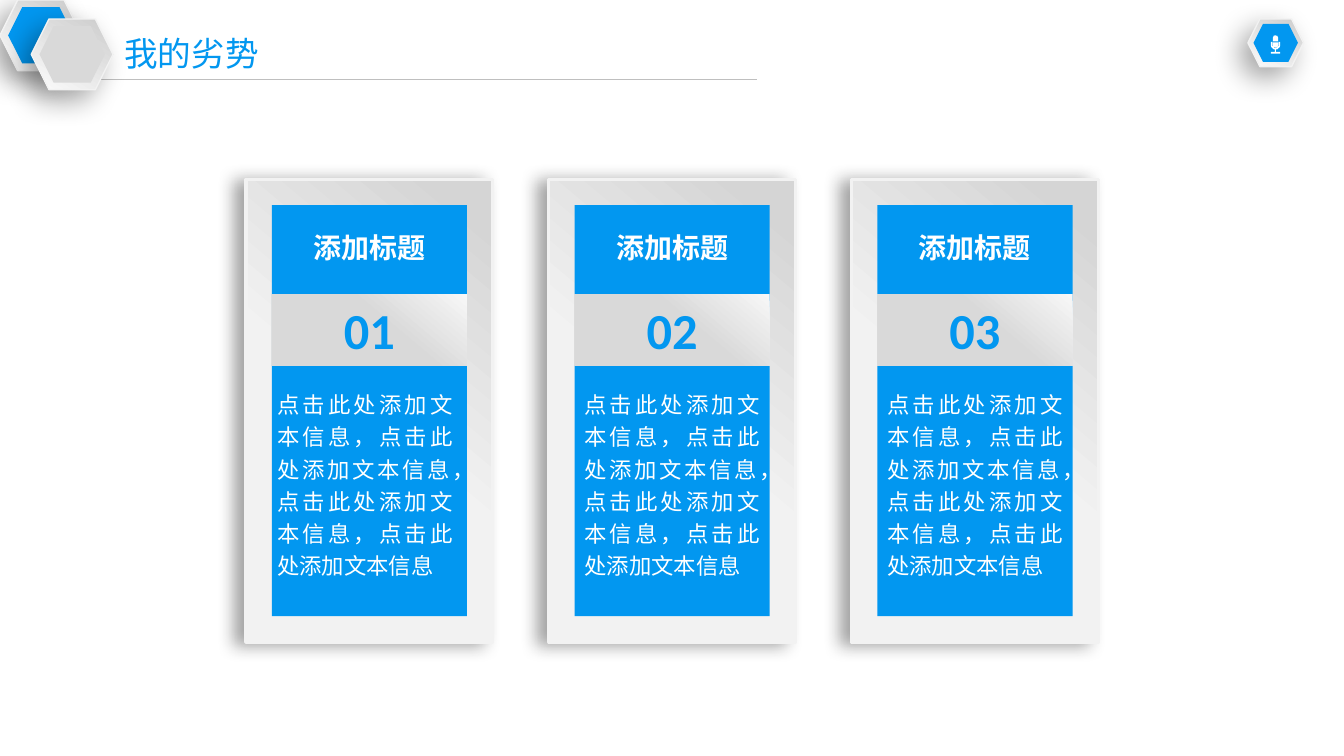
from dataclasses import dataclass
from math import cos, pi, sin

from lxml.etree import SubElement
from pptx import Presentation
from pptx.dml.color import RGBColor
from pptx.enum.shapes import MSO_CONNECTOR, MSO_SHAPE
from pptx.enum.text import MSO_ANCHOR, PP_ALIGN
from pptx.oxml.ns import qn
from pptx.util import Cm, Pt


@dataclass(frozen=True)
class Theme:
    blue: str = "0297F0"
    white: str = "FFFFFF"
    gray: str = "D9D9D9"
    rule: str = "BFBFBF"
    edge: str = "F2F2F2"
    hexes: tuple = ((0, "CCCCCC"), (100, "FCFCFC"))
    frame: tuple = ((7, "D5D5D5"), (53, "F2F2F2"))
    band: tuple = ((0, "F7F7F7"), (42, "D9D9D9"))
    soft: tuple = ("000000", 34, 20, 10, 136)
    deep: tuple = ("1A1A1A", 40, 12, 8, 170)
    han: str = "Noto Sans CJK SC"
    latin: str = "Calibri"
    title: int = 24
    head: int = 20
    number: int = 36
    body: int = 16


theme = Theme()


def color(code):
    return RGBColor.from_string(code)


def paint(shape, fill, angle=0, edge=0, shadow=None):
    shape.shadow.inherit = False
    if isinstance(fill, str):
        shape.fill.solid()
        shape.fill.fore_color.rgb = color(fill)
    else:
        shape.fill.gradient()
        shape.fill.gradient_angle = 360 - angle
        for stop, (place, code) in zip(shape.fill.gradient_stops, fill):
            stop.position = place / 100
            stop.color.rgb = color(code)
    if edge:
        shape.line.color.rgb = color(theme.edge)
        shape.line.width = Pt(edge)
    else:
        shape.line.fill.background()
    if shadow:
        cast(shape, *shadow)


def cast(shape, code, alpha, blur, dist, turn):
    effects = shape._element.spPr.find(qn("a:effectLst"))
    outer = SubElement(effects, qn("a:outerShdw"), blurRad=str(Pt(blur)),
                       dist=str(Pt(dist)), dir=str(turn * 60000),
                       algn="ctr", rotWithShape="0")
    tint = SubElement(outer, qn("a:srgbClr"), val=code)
    SubElement(tint, qn("a:alpha"), val=str(alpha * 1000))


def block(shapes, kind, left, top, width, height, *look):
    shape = shapes.add_shape(kind, Cm(left), Cm(top), Cm(width), Cm(height))
    paint(shape, *look)


def write(box, text, size, code, font, align, bold=False, wrap=True, anchor=MSO_ANCHOR.MIDDLE):
    frame = box.text_frame
    frame.text = text
    frame.word_wrap = wrap
    frame.vertical_anchor = anchor
    line = frame.paragraphs[0]
    line.alignment = align
    run = line.runs[0]
    run.font.size = Pt(size)
    run.font.bold = bold
    run.font.name = font
    run.font.color.rgb = color(code)
    SubElement(run._r.rPr, qn("a:ea"), typeface=font)
    return line


def label(slide, left, top, width, height, *style, **more):
    box = slide.shapes.add_textbox(Cm(left), Cm(top), Cm(width), Cm(height))
    return write(box, *style, **more)


def badge(slide, left, top, width, height, core):
    shapes = slide.shapes.add_group_shape().shapes
    block(shapes, MSO_SHAPE.HEXAGON, left, top, width, height,
          theme.hexes, 120, 1, theme.soft)
    block(shapes, MSO_SHAPE.HEXAGON, left + width / 10, top + height / 10,
          width * 0.8, height * 0.8, core)
    return shapes


def arc(y, radius, start, end, steps=12):
    turns = (start + (end - start) * i / steps for i in range(steps + 1))
    return [(9 + radius * cos(turn), y + radius * sin(turn)) for turn in turns]


def mic(shapes, left, top, height):
    paths = [
        arc(5, 5, pi, 2 * pi) + [(14, 12), (4, 12)],
        [(4, 14), (14, 14)] + arc(19, 5, 0, pi),
        [(0, 13)] + arc(19, 9, pi, 0) + [(18, 13), (15, 13)]
        + arc(19, 6, 0, pi) + [(3, 13)],
        [(7.5, 28), (10.5, 28), (10.5, 33), (7.5, 33)],
        [(0, 33), (18, 33), (18, 36), (0, 36)],
    ]
    pen = shapes.build_freeform(*paths[0][0], scale=Cm(height) / 36)
    for path in paths:
        pen.move_to(*path[0])
        pen.add_line_segments(path[1:], close=True)
    paint(pen.convert_to_shape(Cm(left), Cm(top)), theme.white)


def header(slide, text, left, top, width):
    rule = slide.shapes.add_connector(MSO_CONNECTOR.STRAIGHT, Cm(left + 2.06),
                                      Cm(top + 2), Cm(left + width), Cm(top + 2))
    rule.line.color.rgb = color(theme.rule)
    rule.line.width = Pt(1)
    SubElement(rule._element.spPr, qn("a:effectLst"))
    badge(slide, left, top, 2.06, 1.78, theme.blue)
    badge(slide, left + 0.79, top + 0.48, 2.06, 1.78, theme.gray)
    title = slide.shapes.title
    title.left, title.top = Cm(left + 2.88), Cm(top + 0.7)
    title.width, title.height = Cm(6.8), Cm(1.27)
    write(title, text, theme.title, theme.blue, theme.han, PP_ALIGN.LEFT)


def card(slide, left, top, width, height, number, head, body, shift):
    shapes = slide.shapes.add_group_shape().shapes
    gap = 0.65
    inner = width - 2 * gap
    block(shapes, MSO_SHAPE.RECTANGLE, left, top, width, height,
          theme.frame, 130, 2.25, theme.deep)
    block(shapes, MSO_SHAPE.RECTANGLE, left + gap, top + gap, inner,
          height - 2 * gap, theme.blue)
    block(shapes, MSO_SHAPE.RECTANGLE, left + gap, top + 2.9, inner, 1.78,
          theme.band, 130)
    label(slide, left + (width - 3.35) / 2, top + 1.15, 3.35, 1.12, head, theme.head,
          theme.white, theme.han, PP_ALIGN.CENTER, bold=True, wrap=False)
    label(slide, left + (width - 1.8) / 2, top + 2.87, 1.8, 1.8, number, theme.number,
          theme.blue, theme.latin, PP_ALIGN.CENTER, bold=True, wrap=False)
    line = label(slide, left + gap + shift, top + 5.08, inner, 5.18, body, theme.body,
                 theme.white, theme.han, PP_ALIGN.JUSTIFY, anchor=MSO_ANCHOR.TOP)
    line.line_spacing = 1.2
    line.space_before = Pt(3.2)


deck = Presentation()
deck.slide_width, deck.slide_height = Cm(33.87), Cm(19.05)
slide = deck.slides.add_slide(deck.slide_layouts[5])
header(slide, "我的劣势", 0, 0, 19.08)
mic(badge(slide, 31.45, 0.48, 1.4, 1.2, theme.blue), 32.03, 0.89, 0.46)
body = "\uff0c".join(["点击此处添加文本信息"] * 4)
for i, shift in enumerate((-0.11, 0, 0)):
    card(slide, 6.2 + 7.63 * i, 4.52, 6.22, 11.66, f"{i + 1:02}", "添加标题", body, shift)
deck.save("out.pptx")
